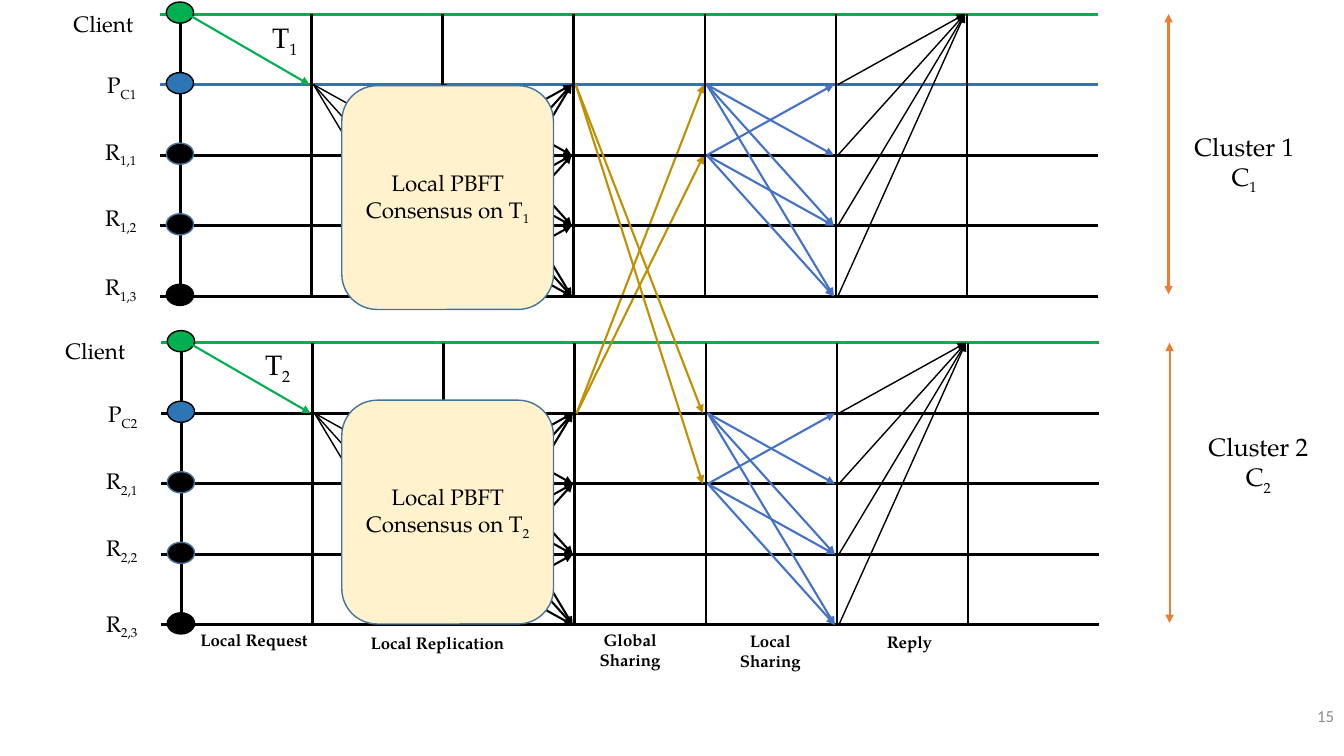
from dataclasses import dataclass
from itertools import permutations
from lxml.etree import SubElement
from pptx import Presentation
from pptx.dml.color import RGBColor
from pptx.enum.shapes import MSO_CONNECTOR, MSO_SHAPE
from pptx.enum.text import MSO_ANCHOR, MSO_AUTO_SIZE, PP_ALIGN
from pptx.oxml.ns import qn
from pptx.util import Inches, Pt


@dataclass(frozen=True)
class Theme:
    font: str = "TeX Gyre Pagella"
    plain: str = "Calibri"
    black: str = "000000"
    grey: str = "8C8C8C"
    green: str = "00B050"
    blue: str = "2E75B6"
    edge: str = "43739E"
    cream: str = "FFF2CC"
    gold: str = "BF9000"
    share: str = "4472C4"
    span: str = "ED7D31"
    small: int = 12
    body: int = 16
    large: int = 18
    big: int = 20
    thin: float = 1
    arrow: float = 1.5
    grid: float = 1.75
    rail: float = 2.25


@dataclass(frozen=True)
class Box:
    left: float
    top: float
    width: float
    height: float

    def inches(self):
        return [Inches(v) for v in (self.left, self.top, self.width, self.height)]


THEME = Theme()
ROW, COL = 0.7, 1.3
CLIENT, PRIMARY, FIRST = 0, 1, 2
REPLICAS = range(1, 5)


def write(frame, text, size=THEME.body, color=THEME.black, font=THEME.font,
          bold=False, align=PP_ALIGN.CENTER, wrap=False, anchor=MSO_ANCHOR.TOP):
    """Fill a text frame; in each line, what follows a bar is subscript."""
    frame.word_wrap = wrap
    frame.vertical_anchor = anchor
    for i, line in enumerate(text.split("\n")):
        para = frame.paragraphs[0] if i == 0 else frame.add_paragraph()
        para.alignment = align
        for j, part in enumerate(line.split("|")):
            run = para.add_run()
            run.text = part
            run.font.name, run.font.size = font, Pt(size)
            run.font.bold = bold
            run.font.color.rgb = RGBColor.from_string(color)
            if j:
                run._r.get_or_add_rPr().set("baseline", "-25000")


def label(slide, box, text, **style):
    frame = slide.shapes.add_textbox(*box.inches()).text_frame
    write(frame, text, **style)
    frame.auto_size = MSO_AUTO_SIZE.SHAPE_TO_FIT_TEXT


def line(slide, start, end, color=THEME.black, width=THEME.grid, heads=()):
    """Draw a line; heads names the ends, headEnd or tailEnd, with a triangle."""
    link = slide.shapes.add_connector(
        MSO_CONNECTOR.STRAIGHT, *[Inches(v) for v in (*start, *end)])
    link.line.color.rgb = RGBColor.from_string(color)
    link.line.width = Pt(width)
    for head in heads:
        SubElement(link.line._get_or_add_ln(), qn("a:" + head), type="triangle")
    SubElement(link._element.spPr, qn("a:effectLst"))


def arrow(slide, start, end, color=THEME.black, width=THEME.arrow, gap=0.02):
    (x1, y1), (x2, y2) = start, end
    line(slide, (x1 + gap, y1), (x2 - 0.02, y2), color, width, ["tailEnd"])


def shape(slide, kind, box, fill, edge):
    item = slide.shapes.add_shape(kind, *box.inches())
    item.shadow.inherit = False
    item.fill.solid()
    item.fill.fore_color.rgb = RGBColor.from_string(fill)
    item.line.color.rgb = RGBColor.from_string(edge)
    item.line.width = Pt(THEME.thin)
    return item


def grid(slide, box, primary):
    """Draw the time line of each node, the phase borders and the node dots."""
    rails = [THEME.green, primary] + [THEME.black] * 3
    fills = [THEME.green, THEME.blue] + [THEME.black] * 3
    edges = [THEME.black] * 2 + [THEME.edge] * 2 + [THEME.black]
    for i, rail in enumerate(rails):
        y = box.top + i * ROW
        line(slide, (box.left, y), (box.left + box.width, y), rail, THEME.rail)
    for k in range(7):
        x = box.left + 0.2 + k * COL
        line(slide, (x, box.top), (x, box.top + box.height))
    for i, (fill, edge) in enumerate(zip(fills, edges)):
        dot = Box(box.left + 0.06, box.top + i * ROW - 0.12, 0.27, 0.21)
        shape(slide, MSO_SHAPE.OVAL, dot, fill, edge)


def messages(slide, box, peer):
    """Draw the arrows of all phases; peer is the top of the other cluster."""
    def at(col, row, top=box.top):
        return box.left + 0.2 + col * COL, top + row * ROW

    arrow(slide, at(0, CLIENT), at(1, PRIMARY), THEME.green, gap=0.07)
    for row in REPLICAS:
        if row != PRIMARY:
            arrow(slide, at(1, PRIMARY), at(2, row), width=THEME.thin)
        arrow(slide, at(5, row), at(6, CLIENT), width=THEME.thin)
    for source, target in permutations(REPLICAS, 2):
        arrow(slide, at(2, source), at(3, target))
        if source in (PRIMARY, FIRST):
            arrow(slide, at(4, source), at(5, target), THEME.share)
    for row in (PRIMARY, FIRST):
        arrow(slide, at(3, PRIMARY), at(4, row, peer), THEME.gold)


def cluster(slide, box, num, peer, primary, client, shifts, deal, block, name):
    """Draw one cluster; shifts, deal, block and name are offsets in the box."""
    grid(slide, box, primary)
    messages(slide, box, peer)
    nodes = ["Client", f"P|C{num}"] + [f"R|{num},{i}" for i in (1, 2, 3)]
    for i, (node, shift) in enumerate(zip(nodes, shifts)):
        width = 0.8 if i == CLIENT else 0.54
        right = client if i == CLIENT else -0.14
        spot = Box(box.left + right - width, box.top + i * ROW + shift, width, 0.37)
        label(slide, spot, node, align=PP_ALIGN.RIGHT)
    panel = shape(slide, MSO_SHAPE.ROUNDED_RECTANGLE,
                  Box(3.39, box.top + block, 2.1, 2.22), THEME.cream, THEME.edge)
    write(panel.text_frame, f"Local PBFT Consensus on T|{num}", wrap=True,
          anchor=MSO_ANCHOR.MIDDLE)
    label(slide, Box(box.left + deal[0], box.top + deal[1], 0.61, 0.44), f"T|{num}",
          size=THEME.big, align=PP_ALIGN.LEFT, wrap=True)
    x = box.left + 10
    line(slide, (x, box.top), (x, box.top + box.height - 0.02), THEME.span,
         THEME.arrow, ["headEnd", "tailEnd"])
    label(slide, Box(box.left + name[0], box.top + name[1], 1.22, 0.71),
          f"Cluster {num}\nC|{num}", size=THEME.large)


def phases(slide, box):
    names = [("Local Request", 0.92, 0), ("Local Replication", 2.74, 0.03),
             ("Global\nSharing", 4.65, 0), ("Local\nSharing", 6.04, 0.01),
             ("Reply", 7.42, 0.02)]
    for name, mid, drop in names:
        spot = Box(box.left + mid - 0.77, box.top + drop, 1.54, box.height)
        label(slide, spot, name, size=THEME.small, bold=True)


def main():
    deck = Presentation()
    deck.slide_width, deck.slide_height = Inches(13.33), Inches(7.5)
    slide = deck.slides.add_slide(deck.slide_layouts[6])
    upper, lower = Box(1.59, 0.14, 9.3, 2.8), Box(1.6, 3.4, 9.3, 2.8)
    cluster(slide, lower, 2, upper.top, THEME.black, client=-0.26,
            shifts=(-0.1, -0.18, -0.21, -0.25, -0.2), deal=(0.93, 0),
            block=0.57, name=(10.27, 0.83))
    cluster(slide, upper, 1, lower.top, THEME.blue, client=-0.17,
            shifts=(-0.09, -0.18, -0.22, -0.26, -0.28), deal=(1.01, 0.01),
            block=0.71, name=(10.14, 1.11))
    phases(slide, Box(1.6, 6.2, 9.3, 0.3))
    label(slide, Box(11.63, 6.95, 1.7, 0.3), "15", size=THEME.small,
          color=THEME.grey, font=THEME.plain, align=PP_ALIGN.RIGHT,
          wrap=True, anchor=MSO_ANCHOR.MIDDLE)
    deck.save("out.pptx")


if __name__ == "__main__":
    main()
